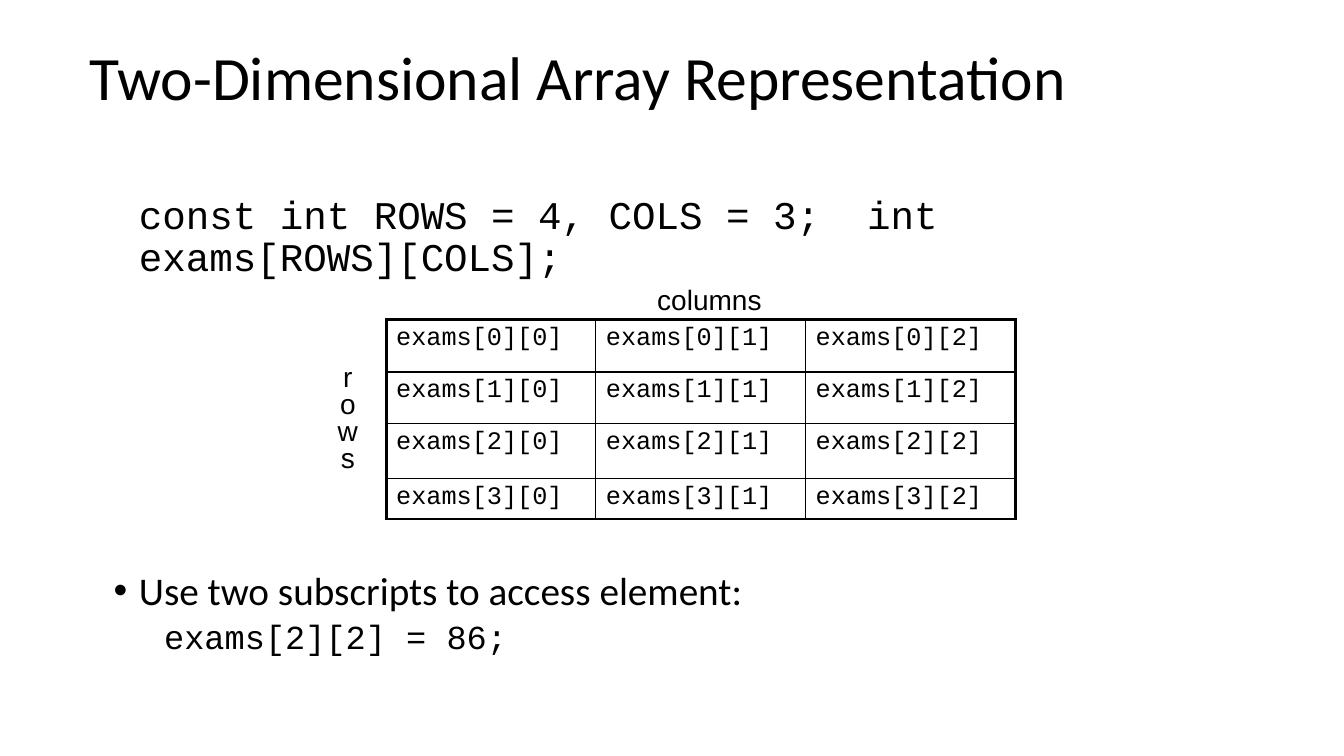
"""Build a slide on how a two-dimensional array is laid out."""
from dataclasses import dataclass

from lxml import etree
from pptx import Presentation
from pptx.dml.color import RGBColor
from pptx.enum.text import MSO_ANCHOR, PP_ALIGN
from pptx.oxml.ns import qn
from pptx.slide import Slide
from pptx.table import _Cell
from pptx.text.text import TextFrame
from pptx.util import Inches, Pt

LEFT, CENTER = PP_ALIGN.LEFT, PP_ALIGN.CENTER
MIDDLE = MSO_ANCHOR.MIDDLE


@dataclass(frozen=True)
class Theme:
    ink: str = "000000"
    sans: str = "Calibri"
    mono: str = "Courier New"
    label: str = "Arial"
    title: int = 44
    body: int = 28
    code: int = 24
    tag: int = 20
    cell: int = 18
    thick: float = 2.25
    thin: float = 1


@dataclass(frozen=True)
class Line:
    text: str
    font: str
    size: int
    align: PP_ALIGN = LEFT
    gap: float = 0
    lead: float = 0.9
    left: float = 0
    hang: float = 0
    bullet: str = ""


@dataclass(frozen=True)
class Box:
    x: float
    y: float
    w: float
    h: float
    lines: tuple[Line, ...]
    wrap: bool = True


THEME = Theme()
ROWS, COLS = 4, 3
HEIGHTS = (0.52, 0.51, 0.55, 0.4)
WIDTH = 2.08
TITLE = Line("Two-Dimensional Array Representation", THEME.sans, THEME.title)
BOXES = (
    Box(1.03, 1.89, 9.47, 0.95, (
        Line("const int ROWS = 4, COLS = 3;  int exams[ROWS][COLS];",
             THEME.mono, THEME.body, left=0.25),
    )),
    Box(1.03, 5.62, 9.47, 1.1, (
        Line("Use two subscripts to access element:", THEME.sans, THEME.body,
             left=0.25, hang=-0.25, bullet="•"),
        Line("exams[2][2] = 86;", THEME.mono, THEME.code,
             gap=5, left=0.75, hang=-0.25),
    )),
    Box(6.42, 2.75, 1.24, 0.43, (
        Line("columns", THEME.label, THEME.tag, lead=1),
    ), wrap=False),
    Box(3.25, 3.58, 0.4, 1.17, tuple(
        Line(char, THEME.label, THEME.tag, CENTER, lead=0.8)
        for char in "rows"
    ), wrap=False),
)


def write(frame: TextFrame, lines: tuple[Line, ...]) -> None:
    """Fill a text frame with formatted paragraphs."""
    for i, line in enumerate(lines):
        para = frame.add_paragraph() if i else frame.paragraphs[0]
        para.text = line.text
        para.alignment = line.align
        para.line_spacing = line.lead
        para.space_before = Pt(line.gap)
        para.font.name = line.font
        para.font.size = Pt(line.size)
        para.font.color.rgb = RGBColor.from_string(THEME.ink)
        props = para._p.get_or_add_pPr()
        props.set("marL", str(Inches(line.left)))
        props.set("indent", str(Inches(line.hang)))
        if line.bullet:
            font = etree.Element(qn("a:buFont"), typeface=THEME.label)
            mark = etree.Element(qn("a:buChar"), char=line.bullet)
            spot = props.find(qn("a:defRPr"))
            spot.addprevious(font)
            spot.addprevious(mark)


def add_title(slide: Slide) -> None:
    """Place and format the title."""
    title = slide.shapes.title
    title.left, title.top = Inches(0.79), Inches(0.17)
    title.width, title.height = Inches(11.83), Inches(1.25)
    title.text_frame.vertical_anchor = MIDDLE
    write(title.text_frame, (TITLE,))


def add_box(slide: Slide, box: Box) -> None:
    """Add one text box."""
    shape = slide.shapes.add_textbox(
        Inches(box.x), Inches(box.y), Inches(box.w), Inches(box.h))
    shape.text_frame.word_wrap = box.wrap
    write(shape.text_frame, box.lines)


def edge(cell: _Cell, row: int, col: int) -> None:
    """Draw cell borders, thick on the outside of the grid."""
    outer = {"L": col == 0, "R": col == COLS - 1,
             "T": row == 0, "B": row == ROWS - 1}
    props = cell._tc.get_or_add_tcPr()
    for side, rim in outer.items():
        width = Pt(THEME.thick if rim else THEME.thin)
        line = etree.SubElement(props, qn(f"a:ln{side}"), w=str(width))
        fill = etree.SubElement(line, qn("a:solidFill"))
        etree.SubElement(fill, qn("a:srgbClr"), val=THEME.ink)


def add_grid(slide: Slide) -> None:
    """Add the table of array elements."""
    table = slide.shapes.add_table(
        ROWS, COLS, Inches(3.83), Inches(3.17),
        Inches(WIDTH * COLS), Inches(sum(HEIGHTS))).table
    table.first_row = table.horz_banding = False
    for col in table.columns:
        col.width = Inches(WIDTH)
    for r, height in enumerate(HEIGHTS):
        table.rows[r].height = Inches(height)
        for c in range(COLS):
            cell = table.cell(r, c)
            edge(cell, r, c)
            cell.fill.background()
            text = f"exams[{r}][{c}]"
            write(cell.text_frame,
                  (Line(text, THEME.mono, THEME.cell, lead=1),))


def main() -> None:
    """Build and save the slide."""
    deck = Presentation()
    deck.slide_width, deck.slide_height = Inches(13.33), Inches(7.5)
    slide = deck.slides.add_slide(deck.slide_layouts[5])
    add_title(slide)
    add_grid(slide)
    for box in BOXES:
        add_box(slide, box)
    deck.save("out.pptx")


if __name__ == "__main__":
    main()
